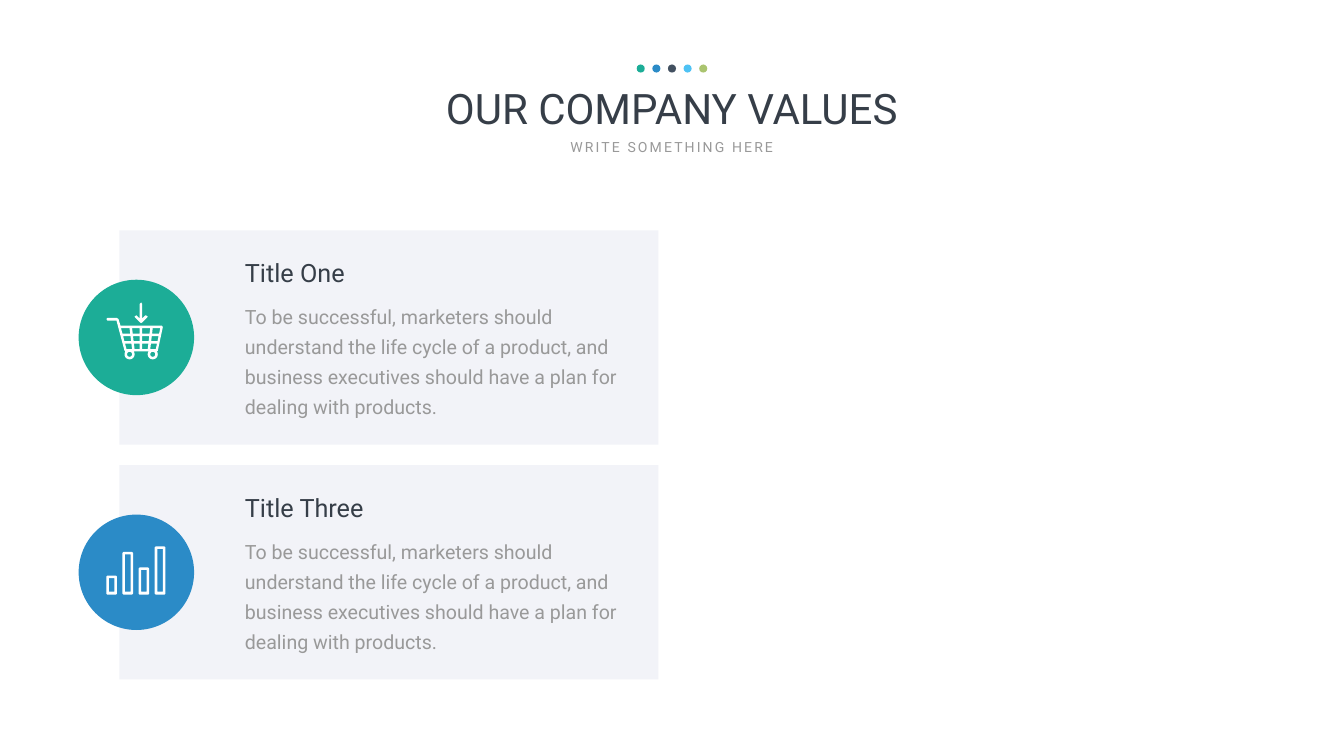
from dataclasses import dataclass
from math import cos, radians, sin
from typing import Any

from pptx import Presentation
from pptx import util as u
from pptx.dml.color import RGBColor
from pptx.enum import shapes, text

COLUMNS, ROWS = 26.66, 15
TEAL, BLUE, SLATE, SKY, OLIVE = "1CAD97", "2B8BC7", "425060", "4EC2F4", "AAC46F"
BODY = (
    "To be successful, marketers should understand the life cycle of a product, "
    "and business executives should have a plan for dealing with products."
)


def color(value):
    return RGBColor.from_string(value)


def box(left, top, right, bottom, cut=0):
    return [
        (left + cut, top), (right - cut, top), (right, top + cut), (right, bottom - cut),
        (right - cut, bottom), (left + cut, bottom), (left, bottom - cut), (left, top + cut),
    ]


def arc(x, y, radius, start, end, steps=24):
    angles = [radians(start + (end - start) * i / steps) for i in range(steps + 1)]
    return [(x + radius * cos(angle), y + radius * sin(angle)) for angle in angles]


def bars_icon():
    contours = []
    for index, top in enumerate((0.58, 0.11, 0.42, 0)):
        left = 0.32 * index
        contours.append(box(left, top, left + 0.21, 0.96, 0.02))
        contours.append(box(left + 0.05, top + 0.05, left + 0.16, 0.9))
    return contours


def cart_icon():
    top, bottom = 0.51, 0.93
    rows = ((top, 0.62), (0.67, 0.77), (0.82, bottom))
    bays = (
        ((0.29, 0.4), (0.46, 0.51)), ((0.51, 0.56), (0.66, 0.66)),
        ((0.71, 0.71), (0.87, 0.82)), ((0.92, 0.87), (1.07, 0.98)),
    )
    wheels = ((0.46, 1.03), (0.92, 1.03))
    body = [
        (1.02, 0.96), (1.12, 0.49), (1.1, 0.46), (0.28, 0.46), (0.24, 0.33), (0.21, 0.31),
        (0.02, 0.31), (0, 0.33), (0.02, 0.36), (0.2, 0.36), (0.36, 0.96),
    ]
    arrow = [
        (0.67, 0.4), (0.69, 0.41), (0.71, 0.4), (0.81, 0.3), (0.82, 0.28), (0.79, 0.26),
        (0.77, 0.26), (0.71, 0.32), (0.71, 0.03), (0.69, 0), (0.66, 0.03), (0.66, 0.32),
        (0.6, 0.26), (0.59, 0.26), (0.56, 0.28), (0.57, 0.3),
    ]

    def slant(edge, y):
        return edge[0] + (edge[1] - edge[0]) * (y - top) / (bottom - top), y

    for wheel in wheels:
        body += arc(*wheel, 0.1, 214, -34)
    holes = [
        [slant(left, upper), slant(right, upper), slant(right, lower), slant(left, lower)]
        for upper, lower in rows
        for left, right in bays
    ]
    return [body, arrow, *holes, *(arc(*wheel, 0.05, 0, 360) for wheel in wheels)]


@dataclass
class Deck:
    """Draws styled elements on a slide in square grid cells."""

    slide: Any
    cell: int = u.Inches(1)
    font: str = "Roboto"
    dark: str = "363E48"
    muted: str = "999999"
    panel: str = "F2F3F8"
    white: str = "FFFFFF"

    def span(self, *cells):
        return [round(value * self.cell) for value in cells]

    def paint(self, shape, fill):
        shape.shadow.inherit = False
        shape.fill.solid()
        shape.fill.fore_color.rgb = color(fill)
        shape.line.fill.background()

    def rectangle(self, left, top, width, height, fill):
        kind = shapes.MSO_SHAPE.RECTANGLE
        self.paint(self.slide.shapes.add_shape(kind, *self.span(left, top, width, height)), fill)

    def circle(self, left, top, size, fill):
        kind = shapes.MSO_SHAPE.OVAL
        self.paint(self.slide.shapes.add_shape(kind, *self.span(left, top, size, size)), fill)

    def icon(self, left, top, contours):
        placed = [[self.span(left + x, top + y) for x, y in contour] for contour in contours]
        builder = self.slide.shapes.build_freeform(*placed[0][0])
        builder.add_line_segments(placed[0][1:])
        for contour in placed[1:]:
            builder.move_to(*contour[0])
            builder.add_line_segments(contour[1:])
        self.paint(builder.convert_to_shape(), self.white)

    def text(self, left, top, width, height, words, size, fill,
             centered=False, wrap=True, leading=None, tracking=None):
        shape = self.slide.shapes.add_textbox(*self.span(left, top, width, height))
        frame = shape.text_frame
        frame.word_wrap = wrap
        frame.auto_size = text.MSO_AUTO_SIZE.SHAPE_TO_FIT_TEXT
        paragraph = frame.paragraphs[0]
        paragraph.alignment = text.PP_ALIGN.CENTER if centered else text.PP_ALIGN.LEFT
        if leading:
            paragraph.line_spacing = u.Pt(leading)
        run = paragraph.add_run()
        run.text = words
        run.font.name = self.font
        run.font.size = u.Pt(size)
        run.font.color.rgb = color(fill)
        if tracking:
            run.font._element.set("spc", str(tracking * 100))

    def header(self, title, subtitle, dots):
        self.text(7.7, 1.59, 11.25, 1.11, title, 60, self.dark, centered=True)
        self.text(11.15, 2.7, 4.35, 0.44, subtitle, 20, self.muted,
                  centered=True, wrap=False, tracking=3)
        for index, fill in enumerate(dots):
            self.circle(12.63 + 0.31 * index, 1.28, 0.16, fill)

    def card(self, top, title, fill, contours, icon_top):
        self.rectangle(2.37, top, 10.69, 4.25, self.panel)
        self.text(4.76, top + 1.3, 7.71, 2.51, BODY, 28, self.muted, leading=43)
        self.text(4.76, top + 0.49, 4.19, 0.71, title, 36, self.dark)
        self.circle(1.56, top + 0.98, 2.29, fill)
        self.icon(2.11, top + icon_top, contours)


def main():
    presentation = Presentation()
    presentation.slide_width = u.Inches(COLUMNS)
    presentation.slide_height = u.Inches(ROWS)
    deck = Deck(presentation.slides.add_slide(presentation.slide_layouts[6]))
    deck.header("OUR COMPANY VALUES", "WRITE SOMETHING HERE", (TEAL, BLUE, SLATE, SKY, OLIVE))
    cards = (
        ("Title One", TEAL, cart_icon(), 1.43),
        ("Title Three", BLUE, bars_icon(), 1.61),
    )
    for index, card in enumerate(cards):
        deck.card(4.57 + 4.66 * index, *card)
    presentation.save("out.pptx")


if __name__ == "__main__":
    main()
